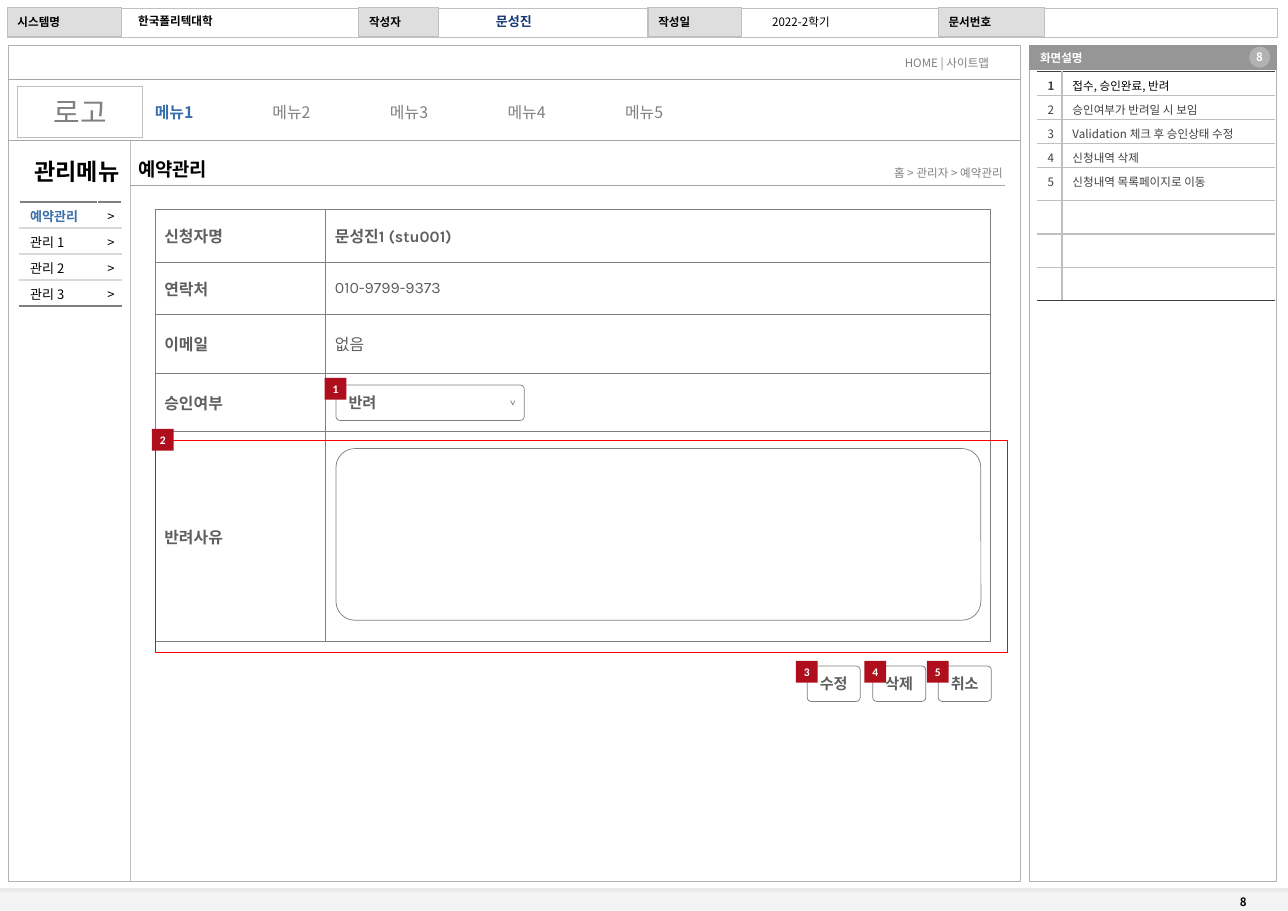
from lxml import etree
from pptx import Presentation
from pptx.dml.color import RGBColor
from pptx.enum.shapes import MSO_CONNECTOR, MSO_SHAPE
from pptx.enum.text import MSO_ANCHOR, PP_ALIGN
from pptx.oxml.ns import qn
from pptx.util import Inches, Pt

RECT, ROUND, OVAL = MSO_SHAPE.RECTANGLE, MSO_SHAPE.ROUNDED_RECTANGLE, MSO_SHAPE.OVAL
LEFT, MID, RIGHT = PP_ALIGN.LEFT, PP_ALIGN.CENTER, PP_ALIGN.RIGHT
TOP, CENTER = MSO_ANCHOR.TOP, MSO_ANCHOR.MIDDLE


class Theme:
    sans, form, badge = "Noto Sans CJK KR", "Karla", "Calibri"
    tiny, small, button, body, title, head, logo = 8, 9, 10.5, 11, 13, 16, 20
    black, white, dark, ink = "000000", "FFFFFF", "404040", "5F5F5F"
    gray, rule, edge, pale = "808080", "A6A6A6", "B2B2B2", "BFBFBF"
    frame, label, bar, soft = "C0C0C0", "DEDEDE", "969696", "D9D9D9"
    foot, line = "F3F3F3", "EAEAEA"
    blue, navy, red, alert = "376EAB", "163873", "AF0F1D", "FF0000"


WIDE, HIGH = Pt(891.5), Pt(630.25)
LABELS = [("시스템명", 0.07, 1.1), ("작성자", 3.45, 0.77),
          ("작성일", 6.23, 0.9), ("문서번호", 9.02, 1.02)]
MENUS = ["메뉴1", "메뉴2", "메뉴3", "메뉴4", "메뉴5"]
SIDE = ["예약관리", "관리 1", "관리 2", "관리 3"]
NOTES = ["접수, 승인완료, 반려", "승인여부가 반려일 시 보임",
         "Validation 체크 후 승인상태 수정", "신청내역 삭제",
         "신청내역 목록페이지로 이동", "", "", ""]
FORM = [("신청자명", "문성진1 (stu001)", 0.51), ("연락처", "010-9799-9373", 0.5),
        ("이메일", "없음", 0.57), ("승인여부", "", 0.56), ("반려사유", "", 2.01)]
BUTTONS = ["수정", "삭제", "취소"]
BADGES = [(3.12, 3.63), (1.46, 4.12), (7.65, 6.35), (8.31, 6.35), (8.91, 6.35)]

deck = Presentation()
deck.slide_width, deck.slide_height = WIDE, HIGH
slide = deck.slides.add_slide(deck.slide_layouts[6])
shapes = slide.shapes


def rgb(color):
    return RGBColor.from_string(color)


def write(frame, text, size=Theme.tiny, color=Theme.black, bold=False,
          align=LEFT, font=Theme.sans):
    para = frame.paragraphs[0]
    para.alignment = align
    if not text:
        para._p.get_or_add_endParaRPr().set("sz", str(size * 100))
        return
    run = para.add_run()
    run.text = text
    run.font.size, run.font.bold, run.font.name = Pt(size), bold, font
    run.font.color.rgb = rgb(color)
    east = etree.SubElement(run._r.get_or_add_rPr(), qn("a:ea"))
    east.set("typeface", Theme.sans if font == Theme.form else font)


def pad(frame, sides):
    """Set insets in the order left, top, right, bottom."""
    (frame.margin_left, frame.margin_top,
     frame.margin_right, frame.margin_bottom) = map(Inches, sides)


def note(text, x, y, w, h, **style):
    frame = shapes.add_textbox(*map(Inches, (x, y, w, h))).text_frame
    frame.word_wrap, frame.vertical_anchor = True, CENTER
    pad(frame, (0.1, 0.05, 0.1, 0.05))
    write(frame, text, **style)
    return frame


def paint(shape, fill, line, width):
    shape.shadow.inherit = False
    if fill:
        shape.fill.solid()
        shape.fill.fore_color.rgb = rgb(fill)
    else:
        shape.fill.background()
    if line:
        shape.line.color.rgb, shape.line.width = rgb(line), Pt(width)
    else:
        shape.line.fill.background()


def box(x, y, w, h, fill=None, line=None, width=0.5, kind=RECT, text="",
        inset=(0.1, 0.05, 0.1, 0.05), curve=0.11, **style):
    shape = shapes.add_shape(kind, *map(Inches, (x, y, w, h)))
    if kind == ROUND:
        shape.adjustments[0] = curve
    paint(shape, fill, line, width)
    if text:
        frame = shape.text_frame
        frame.word_wrap, frame.vertical_anchor = True, CENTER
        pad(frame, inset)
        write(frame, text, **style)


def rule(x1, y1, x2, y2, color=Theme.rule, width=0.75):
    line = shapes.add_connector(MSO_CONNECTOR.STRAIGHT, *map(Inches, (x1, y1, x2, y2)))
    line.line.color.rgb, line.line.width = rgb(color), Pt(width)
    etree.SubElement(line._element.spPr, qn("a:effectLst"))


def grid(x, y, cols, rows):
    size = map(Inches, (x, y, sum(cols), sum(rows)))
    table = shapes.add_table(len(rows), len(cols), *size).table
    table.first_row = table.horz_banding = False
    for col, width in zip(table.columns, cols):
        col.width = Inches(width)
    for row, height in zip(table.rows, rows):
        row.height = Inches(height)
    return table


def fill_cell(cell, text, edges, width, inset, anchor=CENTER, fill=None, **style):
    """Edges hold the colours of left, right, top and bottom; None hides one."""
    props = cell._tc.get_or_add_tcPr()
    for side, color in zip("LRTB", edges):
        line = etree.SubElement(props, qn("a:ln" + side), w=str(Pt(width)))
        if color:
            solid = etree.SubElement(line, qn("a:solidFill"))
            etree.SubElement(solid, qn("a:srgbClr"), val=color)
        else:
            etree.SubElement(line, qn("a:noFill"))
    if fill:
        cell.fill.solid()
        cell.fill.fore_color.rgb = rgb(fill)
    else:
        cell.fill.background()
    pad(cell, inset)
    cell.vertical_anchor = anchor
    write(cell.text_frame, text, **style)


def draw_frame():
    box(0, 8.55, WIDE.inches, 0.2, Theme.foot)
    rule(0, 8.55, WIDE.inches, 8.55, Theme.line, 3)
    box(0.08, 0.44, 9.73, 8.03, line=Theme.edge, width=0.75)
    box(9.9, 0.67, 2.37, 7.8, line=Theme.edge)
    box(0.07, 0.08, 12.21, 0.28, Theme.white, Theme.frame, 0.75)
    for text, x, w in LABELS:
        box(x, 0.07, w, 0.28, Theme.label, Theme.frame, 0.75, text=text, bold=True)
    note("한국폴리텍대학", 1.23, 0.08, 2.22, 0.24, bold=True)
    note("문성진", 4.23, 0.08, 1.42, 0.25, size=Theme.small, color=Theme.navy,
         bold=True, align=MID)
    note("2022-2학기", 7.25, 0.09, 0.9, 0.24, align=MID)
    note("8", 11.82, 8.55, 0.55, 0.24, bold=True)
    box(9.9, 0.44, 2.37, 0.23, Theme.bar, Theme.bar, text="화면설명",
        color=Theme.white, bold=True)
    box(12.01, 0.45, 0.2, 0.2, Theme.edge, kind=OVAL, text="8", inset=(0, 0, 0, 0),
        color=Theme.white, bold=True, align=MID)


def draw_menus():
    rule(1.25, 1.35, 1.25, 8.47, Theme.pale, 0.25)
    rule(1.25, 1.78, 9.66, 1.78)
    rule(0.08, 1.35, 9.81, 1.35)
    rule(3.67, 0.76, 9.81, 0.76)
    rule(0.08, 0.76, 4.22, 0.76)
    note("관리메뉴", 0.08, 1.46, 1.32, 0.37, size=Theme.head, bold=True, align=MID)
    note("예약관리", 1.23, 1.46, 0.93, 0.32, size=Theme.title, bold=True)
    note("홈 > 관리자 > 예약관리", 8.22, 1.54, 1.52, 0.24, color=Theme.gray, align=RIGHT)
    note("HOME | 사이트맵", 8.6, 0.48, 1.14, 0.24, color=Theme.gray)
    nav = note(MENUS[0], 1.39, 0.93, 6.52, 0.29, size=Theme.body, color=Theme.blue,
               bold=True)
    stops = etree.SubElement(nav.paragraphs[0]._p.get_or_add_pPr(), qn("a:tabLst"))
    for i in range(1, len(MENUS)):
        etree.SubElement(stops, qn("a:tab"), pos=str(Inches(1.13 * i)), algn="l")
    write(nav, "\t" + "\t".join(MENUS[1:]), size=Theme.body, color=Theme.gray)
    box(0.17, 0.83, 1.2, 0.49, Theme.white, Theme.pale, 0.25, text="로고",
        size=Theme.logo, color=Theme.gray, align=MID)

    table, last = grid(0.19, 1.94, [0.75, 0.23], [0.25] * len(SIDE)), len(SIDE) - 1
    for i, text in enumerate(SIDE):
        edges = (Theme.white, Theme.white, Theme.soft if i else Theme.gray,
                 Theme.soft if i < last else Theme.gray)
        fill_cell(table.cell(i, 0), text, edges, 1, (0.1, 0.04, 0, 0.02),
                  size=Theme.small, bold=i == 0,
                  color=Theme.black if i else Theme.blue)
        fill_cell(table.cell(i, 1), ">", edges, 1, (0, 0.04, 0.07, 0.02),
                  size=Theme.small, align=RIGHT)


def draw_notes():
    rows = [0.23] * 4 + [0.32] * 4
    table, last = grid(9.97, 0.69, [0.24, 2.05], rows), len(NOTES) - 1
    for i, text in enumerate(NOTES):
        ends = (Theme.pale if i else Theme.dark, Theme.pale if i < last else Theme.dark)
        look = {"width": 1, "anchor": TOP, "fill": Theme.white}
        fill_cell(table.cell(i, 0), str(i + 1) if text else "", (None, Theme.pale, *ends),
                  inset=(0.1, 0.05, 0, 0.02), bold=i == 0, color=Theme.dark, **look)
        fill_cell(table.cell(i, 1), text, (Theme.pale, None, *ends),
                  inset=(0.1, 0.05, 0.05, 0.02),
                  color=Theme.dark if i else Theme.black, **look)


def draw_form():
    table = grid(1.49, 2.01, [1.64, 6.39], [row[2] for row in FORM])
    for i, row in enumerate(FORM):
        for j, text in enumerate(row[:2]):
            fill_cell(table.cell(i, j), text, [Theme.gray] * 4, 0.5, [0.09] * 4,
                      size=Theme.body, color=Theme.ink, font=Theme.form,
                      bold=j == 0 or i == 0)
    look = {"fill": Theme.white, "line": Theme.gray, "kind": ROUND}
    kind = {"size": Theme.button, "color": Theme.ink, "font": Theme.form, "bold": True}
    box(3.23, 3.7, 1.81, 0.34, text="반려", inset=(0.11, 0.07, 0.3, 0.07), **look, **kind)
    start, *rest = [tuple(map(Inches, spot))
                    for spot in ((4.95, 3.85), (4.93, 3.89), (4.91, 3.85))]
    pen = shapes.build_freeform(*start)
    pen.add_line_segments(rest, close=False)
    paint(pen.convert_to_shape(), None, Theme.gray, 0.5)
    box(3.23, 4.31, 6.2, 1.65, **look)
    for i, text in enumerate(BUTTONS):
        box(7.76 + 0.63 * i, 6.4, 0.51, 0.34, text=text, inset=(0.02, 0.07, 0.02, 0.07),
            align=MID, **look, **kind)
    box(1.49, 4.23, 8.19, 2.04, line=Theme.alert, width=0.25)
    for i, (x, y) in enumerate(BADGES, 1):
        box(x, y, 0.21, 0.21, Theme.red, text=str(i), inset=(0, 0, 0, 0),
            color=Theme.white, bold=True, align=MID, font=Theme.badge)


draw_frame()
draw_menus()
draw_notes()
draw_form()
deck.save("out.pptx")
